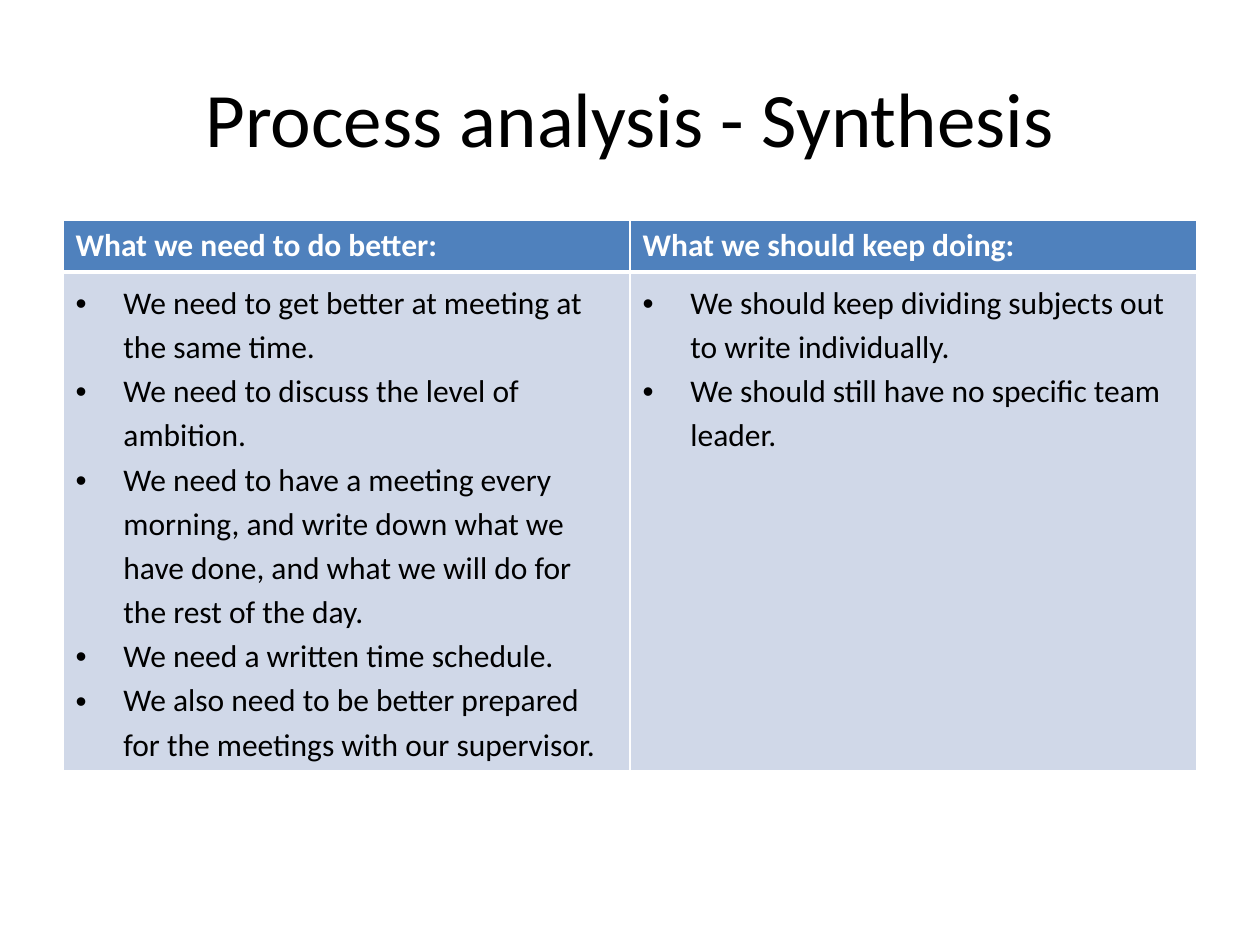
import pptx
import pptx.dml.color
import pptx.enum.text
import pptx.oxml
import pptx.oxml.ns
import pptx.util
from lxml import etree
from pptx.util import Inches

RGBColor = pptx.dml.color.RGBColor
BLACK = RGBColor(0x00, 0x00, 0x00)
WHITE = RGBColor(0xFF, 0xFF, 0xFF)
HEADER_BLUE = RGBColor(0x4F, 0x81, 0xBD)
BODY_BLUE = RGBColor(0xD0, 0xD8, 0xE8)
FONT = "Calibri"
HEADER_HEIGHT = Inches(0.41)
BULLET_INDENT = Inches(0.38)

COLUMNS = {
    "What we need to do better:": [
        "We need to get better at meeting at the same time.",
        "We need to discuss the level of ambition.",
        "We need to have a meeting every morning, and write down what we have done, "
        "and what we will do for the rest of the day.",
        "We need a written time schedule.",
        "We also need to be better prepared for the meetings with our supervisor.",
    ],
    "What we should keep doing:": [
        "We should keep dividing subjects out to write individually.",
        "We should still have no specific team leader.",
    ],
}


def format_runs(paragraph, size, color, bold=False):
    for run in paragraph.runs:
        run.font.name = FONT
        run.font.size = pptx.util.Pt(size)
        run.font.bold = bold
        run.font.color.rgb = color


def add_bullet(paragraph):
    properties = paragraph._p.get_or_add_pPr()
    properties.set("marL", str(BULLET_INDENT))
    properties.set("indent", str(-BULLET_INDENT))
    for tag, attribute, value in (("buFont", "typeface", "Arial"), ("buChar", "char", "•")):
        bullet = etree.SubElement(properties, pptx.oxml.ns.qn(f"a:{tag}"))
        bullet.set(attribute, value)


def set_borders(cell, widths):
    """Draw white borders; widths are points for left, right, top, bottom."""
    properties = cell._tc.get_or_add_tcPr()
    for position, (side, width) in enumerate(zip("LRTB", widths)):
        border = pptx.oxml.parse_xml(
            f'<a:ln{side} {pptx.oxml.ns.nsdecls("a")} w="{pptx.util.Pt(width)}">'
            f'<a:solidFill><a:srgbClr val="{WHITE}"/></a:solidFill></a:ln{side}>'
        )
        properties.insert(position, border)


def fill_cell(cell, color, border_widths):
    cell.fill.solid()
    cell.fill.fore_color.rgb = color
    set_borders(cell, border_widths)


def place_title(slide, left, top, width, height):
    title = slide.shapes.title
    title.left, title.top, title.width, title.height = left, top, width, height
    title.text_frame.text = "Process analysis - Synthesis"
    title.text_frame.vertical_anchor = pptx.enum.text.MSO_ANCHOR.MIDDLE
    heading = title.text_frame.paragraphs[0]
    heading.alignment = pptx.enum.text.PP_ALIGN.CENTER
    format_runs(heading, 44, BLACK)


def place_synthesis(slide, left, top, width, height):
    synthesis = slide.shapes.add_table(2, len(COLUMNS), left, top, width, height).table
    synthesis.rows[0].height = HEADER_HEIGHT
    synthesis.rows[1].height = height - HEADER_HEIGHT

    for column, (heading, points) in enumerate(COLUMNS.items()):
        # Header
        header = synthesis.cell(0, column)
        header.text_frame.text = heading
        format_runs(header.text_frame.paragraphs[0], 18, WHITE, bold=True)
        fill_cell(header, HEADER_BLUE, (1, 1, 1, 3))

        # Bulleted points
        body = synthesis.cell(1, column)
        body.text_frame.text = "\n".join(points)
        for point in body.text_frame.paragraphs:
            point.line_spacing = 1.15
            add_bullet(point)
            format_runs(point, 18, BLACK)
        body.text_frame.paragraphs[-1].space_after = pptx.util.Pt(10)
        fill_cell(body, BODY_BLUE, (1, 1, 3, 1))


def main():
    presentation = pptx.Presentation()
    presentation.slide_width = Inches(10)
    presentation.slide_height = Inches(7.5)
    slide = presentation.slides.add_slide(presentation.slide_layouts[5])
    place_title(slide, Inches(0.5), Inches(0.3), Inches(9), Inches(1.25))
    place_synthesis(slide, Inches(0.5), Inches(1.75), Inches(9), Inches(4.3))
    presentation.save("out.pptx")


if __name__ == "__main__":
    main()
